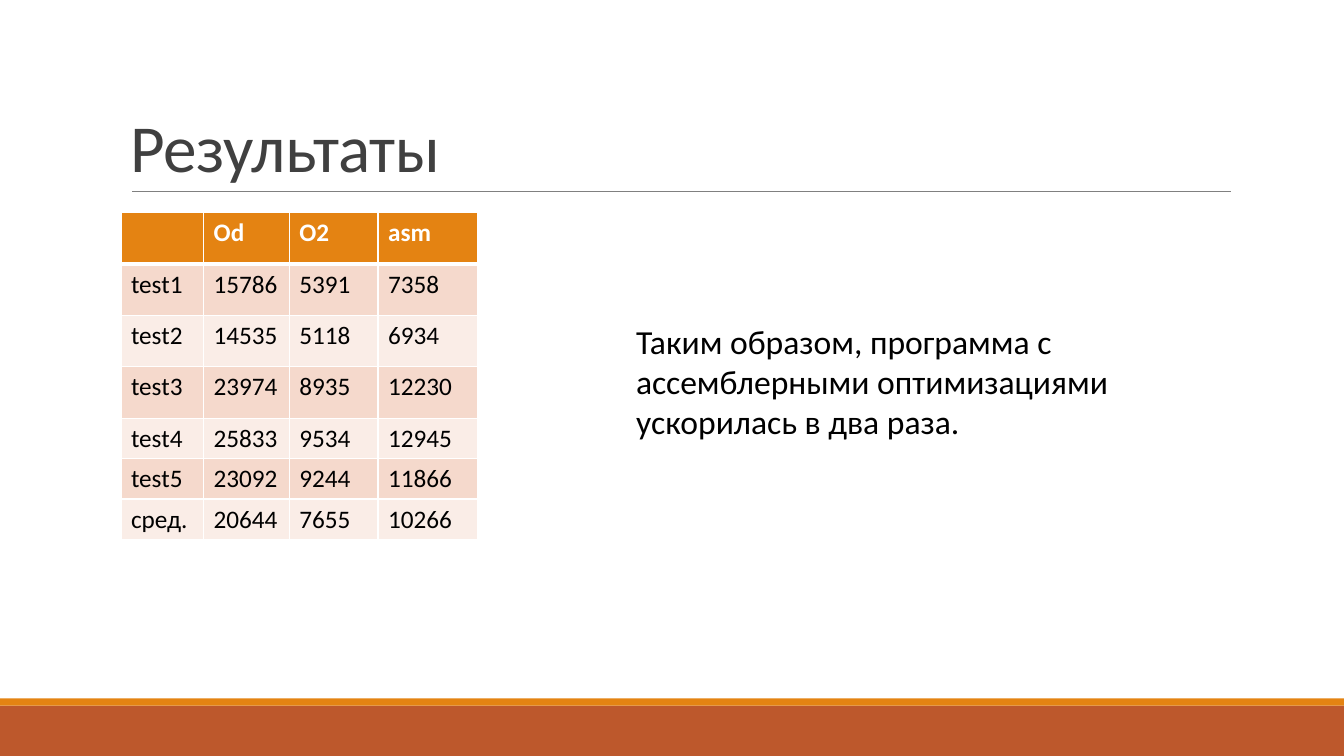
from pptx import Presentation
from pptx.dml.color import RGBColor
from pptx.enum.shapes import MSO_CONNECTOR as Connector, MSO_SHAPE as Shape
from pptx.enum.text import MSO_ANCHOR as Anchor
from pptx.oxml import parse_xml
from pptx.oxml.ns import nsdecls
from pptx.util import Inches, Pt

THEME = {
    "font": "Calibri",
    "colors": {"rust": "BD582C", "orange": "E48312", "rule": "808080",
               "title": "404040", "text": "000000", "white": "FFFFFF",
               "band_dark": "F5D9CC", "band_light": "FAEDE7"},
    "sizes": {"title": 48, "body": 24, "table": 18},
}
COLORS = {name: RGBColor.from_string(value) for name, value in THEME["colors"].items()}


def write(paragraph, text, size, color, bold=False):
    run = paragraph.add_run()
    run.text = text
    font_format = {"name": THEME["font"], "size": Pt(THEME["sizes"][size]), "bold": bold}
    for attribute, value in font_format.items():
        setattr(run.font, attribute, value)
    run.font.color.rgb = COLORS[color]
    return run


def add_text(left, top, width, height, text, size, color, anchor):
    frame = slide.shapes.add_textbox(*map(Inches, (left, top, width, height))).text_frame
    frame.word_wrap = True
    frame.vertical_anchor = anchor
    return write(frame.paragraphs[0], text, size, color), frame.paragraphs[0]


presentation = Presentation()
presentation.slide_width, presentation.slide_height = Inches(13.33), Inches(7.5)
slide = presentation.slides.add_slide(presentation.slide_layouts[6])

# Footer bands
for top, height, color in ((7, 0.5, "rust"), (6.93, 0.07, "orange")):
    band = slide.shapes.add_shape(
        Shape.RECTANGLE, 0, Inches(top), presentation.slide_width, Inches(height))
    band.shadow.inherit = False
    band.fill.solid()
    band.fill.fore_color.rgb = COLORS[color]
    band.line.fill.background()

# Rule under the title
rule = slide.shapes.add_connector(
    Connector.STRAIGHT, Inches(1.31), Inches(1.9), Inches(12.21), Inches(1.9))
rule.line.color.rgb = COLORS["rule"]
rule.line.width = Pt(0.5)
rule._element.spPr.append(parse_xml(f"<a:effectLst {nsdecls('a')}/>"))

# Title
title_run, title_paragraph = add_text(
    1.2, 0.31, 11, 1.59, "Результаты", "title", "title", Anchor.BOTTOM)
title_paragraph.line_spacing = 0.85
title_run._r.get_or_add_rPr().set("spc", "-50")

# Results table
results = [
    ("", "Od", "O2", "asm"),
    ("test1", "15786", "5391", "7358"),
    ("test2", "14535", "5118", "6934"),
    ("test3", "23974", "8935", "12230"),
    ("test4", "25833", "9534", "12945"),
    ("test5", "23092", "9244", "11866"),
    ("сред.", "20644", "7655", "10266"),
]
column_widths = [0.82, 0.85, 0.88, 0.99]
row_heights = [0.51] * 4 + [0.4] * 3
table = slide.shapes.add_table(
    len(results), len(column_widths), Inches(1.2), Inches(2.11),
    Inches(sum(column_widths)), Inches(sum(row_heights))).table
for column, width in zip(table.columns, column_widths):
    column.width = Inches(width)
for row, height in zip(table.rows, row_heights):
    row.height = Inches(height)

for row_index, values in enumerate(results):
    header = row_index == 0
    fill = "orange" if header else ("band_light", "band_dark")[row_index % 2]
    for column_index, value in enumerate(values):
        cell = table.cell(row_index, column_index)
        properties = cell._tc.get_or_add_tcPr()
        for side in ("L", "R", "T", "B"):
            heavy = (row_index, side) in ((0, "B"), (1, "T"))
            properties.append(parse_xml(
                f'<a:ln{side} {nsdecls("a")} w="{Pt(3 if heavy else 1)}"><a:solidFill>'
                f'<a:srgbClr val="{THEME["colors"]["white"]}"/></a:solidFill></a:ln{side}>'))
        cell.fill.solid()
        cell.fill.fore_color.rgb = COLORS[fill]
        if value:
            write(cell.text_frame.paragraphs[0], value, "table",
                  "white" if header else "text", header)

# Conclusion
add_text(6.21, 3.13, 5.72, 1.72,
         "Таким образом, программа с ассемблерными оптимизациями ускорилась в два раза.",
         "body", "text", Anchor.TOP)

presentation.save("out.pptx")
